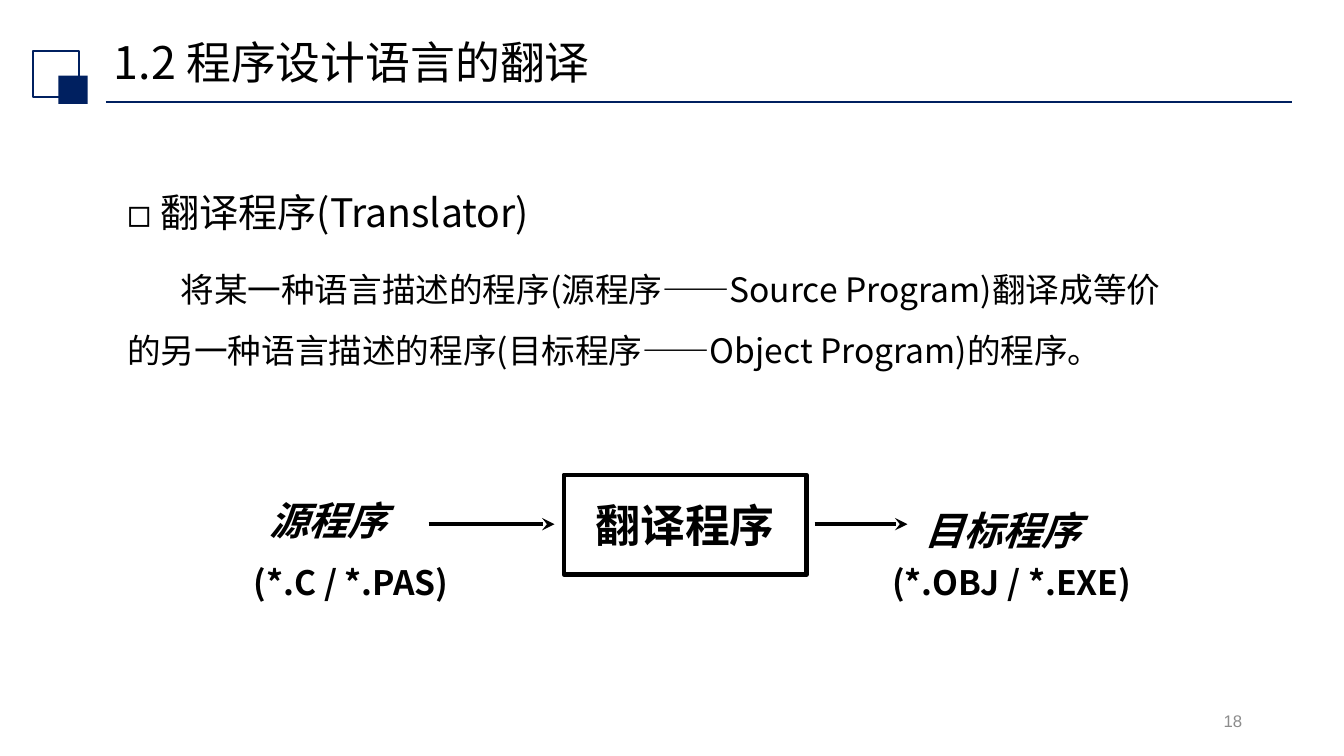
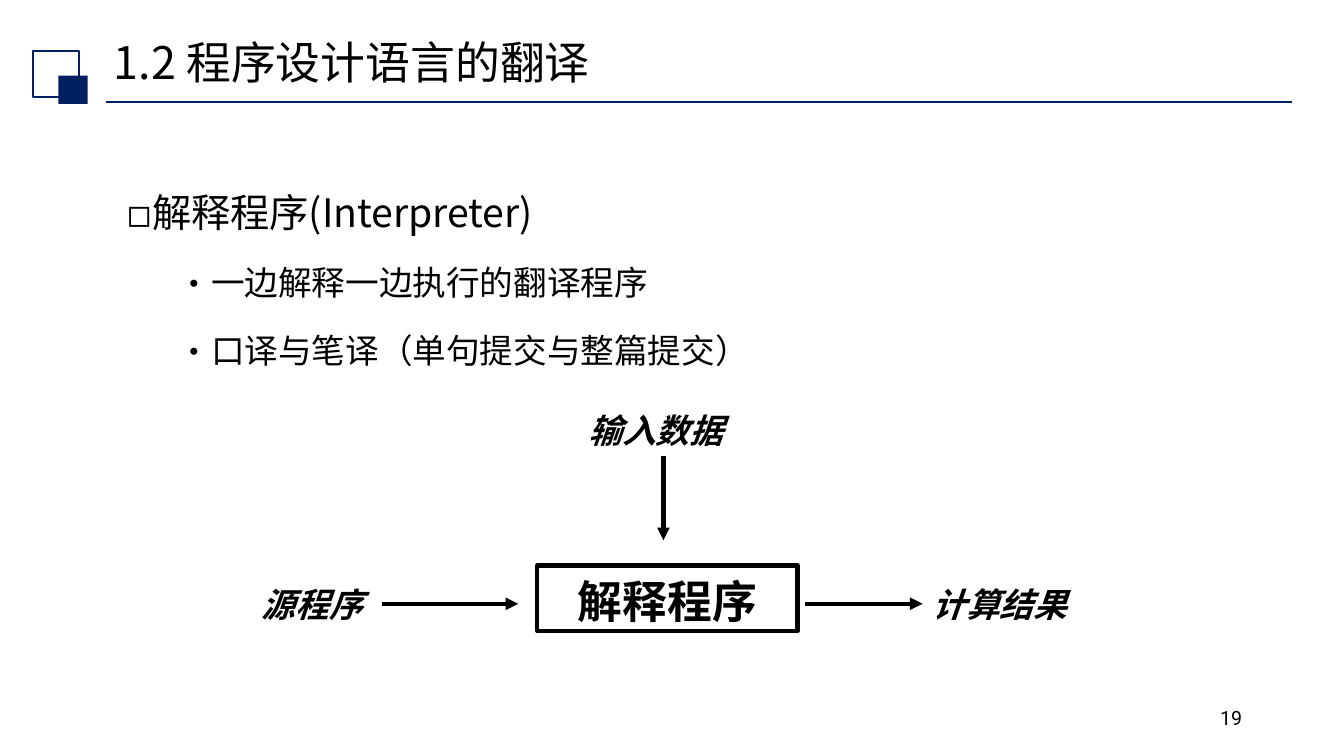
from dataclasses import dataclass

from lxml.etree import SubElement
from pptx import Presentation
from pptx.dml.color import RGBColor
from pptx.enum.shapes import MSO_CONNECTOR as Connector, MSO_SHAPE as Preset
from pptx.enum.text import MSO_ANCHOR as Anchor, MSO_AUTO_SIZE as AutoSize, PP_ALIGN as Align
from pptx.oxml.ns import qn
from pptx.util import Emu, Pt

# Shared style
EMU_PER_PX = 9144  # 100 px to the inch
NAVY, BLACK, GREY = "002060", "000000", "8C8C8C"
FONT = "Noto Sans CJK SC"
TITLE = "1.2 程序设计语言的翻译"
TOP, LEFT, BOTTOM, RIGHT = range(4)


@dataclass(frozen=True)
class Box:
    left: int
    top: int
    width: int
    height: int


@dataclass(frozen=True)
class Style:
    size: int
    color: str = BLACK
    font: str = FONT
    bold: bool = False
    italic: bool = False


@dataclass(frozen=True)
class Item:
    text: str
    size: int
    bullet: str = ""
    margin: int = 0
    indent: int = 0
    level: int = 0
    before: int = 10


@dataclass(frozen=True)
class Label:
    text: str
    box: Box
    style: Style


@dataclass(frozen=True)
class Arrow:
    start: tuple[int, int]
    end: tuple[int, int]
    head: str
    source: str = ""  # label joined at the start
    source_side: int = RIGHT
    target: str = ""  # label joined at the end
    target_side: int = LEFT


@dataclass(frozen=True)
class Page:
    number: str
    number_style: Style
    number_anchor: Anchor
    items: list[Item]
    process: Label
    process_spacing: float
    labels: list[Label]
    arrows: list[Arrow]


TITLE_BOX = Box(103, 34, 1150, 61)
BODY_BOX = Box(116, 158, 1070, 451)
NUMBER_BOX = Box(942, 695, 300, 40)
TITLE_STYLE = Style(32)
PROCESS_STYLE = Style(32, bold=True)
NAME_LARGE = Style(28, bold=True, italic=True)
NAME_SMALL = Style(24, bold=True, italic=True)
FILE_TYPES = Style(24, bold=True)

PAGES = [
    Page(
        "18", Style(12, GREY, "Arial"), Anchor.MIDDLE,
        [
            Item("翻译程序(Translator)", 28, "◻", 33, -33),
            Item("将某一种语言描述的程序(源程序——Source Program)翻译成等价的另一种语言"
                 "描述的程序(目标程序——Object Program)的程序。", 24, indent=53),
        ],
        Label("翻译程序", Box(559, 471, 241, 99), PROCESS_STYLE), 1.0,
        [
            Label("源程序", Box(257, 487, 155, 57), NAME_LARGE),
            Label("目标程序", Box(907, 497, 193, 57), NAME_LARGE),
            Label("(*.C / *.PAS)", Box(242, 553, 223, 51), FILE_TYPES),
            Label("(*.OBJ / *.EXE)", Box(875, 553, 264, 51), FILE_TYPES),
        ],
        [
            Arrow((425, 520), (550, 520), "stealth"),
            Arrow((808, 520), (900, 520), "stealth"),
        ],
    ),
    Page(
        "19", Style(14, BLACK, "Roboto"), Anchor.TOP,
        [
            Item("解释程序(Interpreter)", 28, "◻", 25, -25),
            Item("一边解释一边执行的翻译程序", 24, "•", 75, -25, 1, 5),
            Item("口译与笔译（单句提交与整篇提交）", 24, "•", 75, -25, 1, 5),
        ],
        Label("解释程序", Box(533, 561, 258, 65), PROCESS_STYLE), 1.1,
        [
            Label("源程序", Box(250, 574, 129, 50), NAME_SMALL),
            Label("输入数据", Box(574, 402, 168, 50), NAME_SMALL),
            Label("计算结果", Box(915, 574, 169, 50), NAME_SMALL),
        ],
        [
            Arrow((379, 599), (514, 599), "triangle", source="源程序"),
            Arrow((798, 599), (915, 599), "triangle", target="计算结果"),
            Arrow((658, 452), (658, 536), "triangle", source="输入数据", source_side=BOTTOM),
        ],
    ),
]


# Drawing helpers
def px(length: int) -> Emu:
    return Emu(length * EMU_PER_PX)


def rgb(color: str) -> RGBColor:
    return RGBColor.from_string(color)


def frame(box: Box) -> tuple[Emu, Emu, Emu, Emu]:
    return px(box.left), px(box.top), px(box.width), px(box.height)


def place(shape, box: Box) -> None:
    shape.left, shape.top, shape.width, shape.height = frame(box)


def add_text(paragraph, text: str, style: Style) -> None:
    run = paragraph.add_run()
    run.text = text
    font = run.font
    font.size, font.bold, font.italic = Pt(style.size), style.bold, style.italic
    font.color.rgb = rgb(style.color)
    font.name = style.font
    SubElement(font._element, qn("a:ea")).set("typeface", style.font)


def prepare_frame(shape, anchor: Anchor = Anchor.TOP):
    text_frame = shape.text_frame
    text_frame.word_wrap = True
    text_frame.auto_size = AutoSize.NONE
    text_frame.vertical_anchor = anchor
    return text_frame


def add_label(slide, label: Label, align: Align = Align.LEFT, anchor: Anchor = Anchor.TOP):
    shape = slide.shapes.add_textbox(*frame(label.box))
    paragraph = prepare_frame(shape, anchor).paragraphs[0]
    paragraph.alignment = align
    add_text(paragraph, label.text, label.style)
    return shape


def add_rectangle(slide, box: Box, line: str = "", width: float = 0, fill: str = ""):
    shape = slide.shapes.add_shape(Preset.RECTANGLE, *frame(box))
    shape.shadow.inherit = False
    if fill:
        shape.fill.solid()
        shape.fill.fore_color.rgb = rgb(fill)
    else:
        shape.fill.background()
    if line:
        shape.line.color.rgb = rgb(line)
        shape.line.width = Pt(width)
    else:
        shape.line.fill.background()
    return shape


def add_line(slide, start: tuple[int, int], end: tuple[int, int],
             color: str, width: float, head: str = ""):
    points = [px(value) for value in (*start, *end)]
    connector = slide.shapes.add_connector(Connector.STRAIGHT, *points)
    connector.line.color.rgb = rgb(color)
    connector.line.width = Pt(width)
    properties = connector.element.spPr
    if head:
        SubElement(properties.find(qn("a:ln")), qn("a:tailEnd")).set("type", head)
    SubElement(properties, qn("a:effectLst"))
    return connector


# Slide parts
def add_header(slide) -> None:
    add_line(slide, (105, 101), (1281, 101), NAVY, 1.25)
    add_rectangle(slide, Box(33, 51, 45, 45), NAVY, 1.5)
    add_rectangle(slide, Box(58, 75, 29, 28), fill=NAVY)
    title = slide.shapes.title
    place(title, TITLE_BOX)
    paragraph = prepare_frame(title, Anchor.MIDDLE).paragraphs[0]
    paragraph.alignment = Align.LEFT
    paragraph.line_spacing = 0.9
    add_text(paragraph, TITLE, TITLE_STYLE)


def fill_body(slide, items: list[Item]) -> None:
    body = slide.placeholders[1]
    place(body, BODY_BOX)
    text_frame = prepare_frame(body)
    for index, item in enumerate(items):
        paragraph = text_frame.add_paragraph() if index else text_frame.paragraphs[0]
        paragraph.level = item.level
        paragraph.line_spacing = 1.5
        paragraph.space_before = Pt(item.before)
        properties = paragraph._p.get_or_add_pPr()
        properties.set("marL", str(px(item.margin)))
        properties.set("indent", str(px(item.indent)))
        if item.bullet:
            SubElement(properties, qn("a:buFont")).set("typeface", FONT)
            SubElement(properties, qn("a:buChar")).set("char", item.bullet)
        else:
            SubElement(properties, qn("a:buNone"))
        add_text(paragraph, item.text, Style(item.size))


def add_diagram(slide, page: Page) -> None:
    process = add_rectangle(slide, page.process.box, BLACK, 3)
    paragraph = prepare_frame(process, Anchor.MIDDLE).paragraphs[0]
    paragraph.alignment = Align.CENTER
    paragraph.line_spacing = page.process_spacing
    add_text(paragraph, page.process.text, page.process.style)

    shapes = {label.text: add_label(slide, label) for label in page.labels}
    for arrow in page.arrows:
        connector = add_line(slide, arrow.start, arrow.end, BLACK, 3, arrow.head)
        if arrow.source:
            connector.begin_connect(shapes[arrow.source], arrow.source_side)
        if arrow.target:
            connector.end_connect(shapes[arrow.target], arrow.target_side)


def main() -> None:
    presentation = Presentation()
    presentation.slide_width, presentation.slide_height = px(1333), px(750)
    for page in PAGES:
        slide = presentation.slides.add_slide(presentation.slide_layouts[1])
        add_header(slide)
        fill_body(slide, page.items)
        add_diagram(slide, page)
        number = Label(page.number, NUMBER_BOX, page.number_style)
        add_label(slide, number, Align.RIGHT, page.number_anchor)
    presentation.save("out.pptx")


if __name__ == "__main__":
    main()
